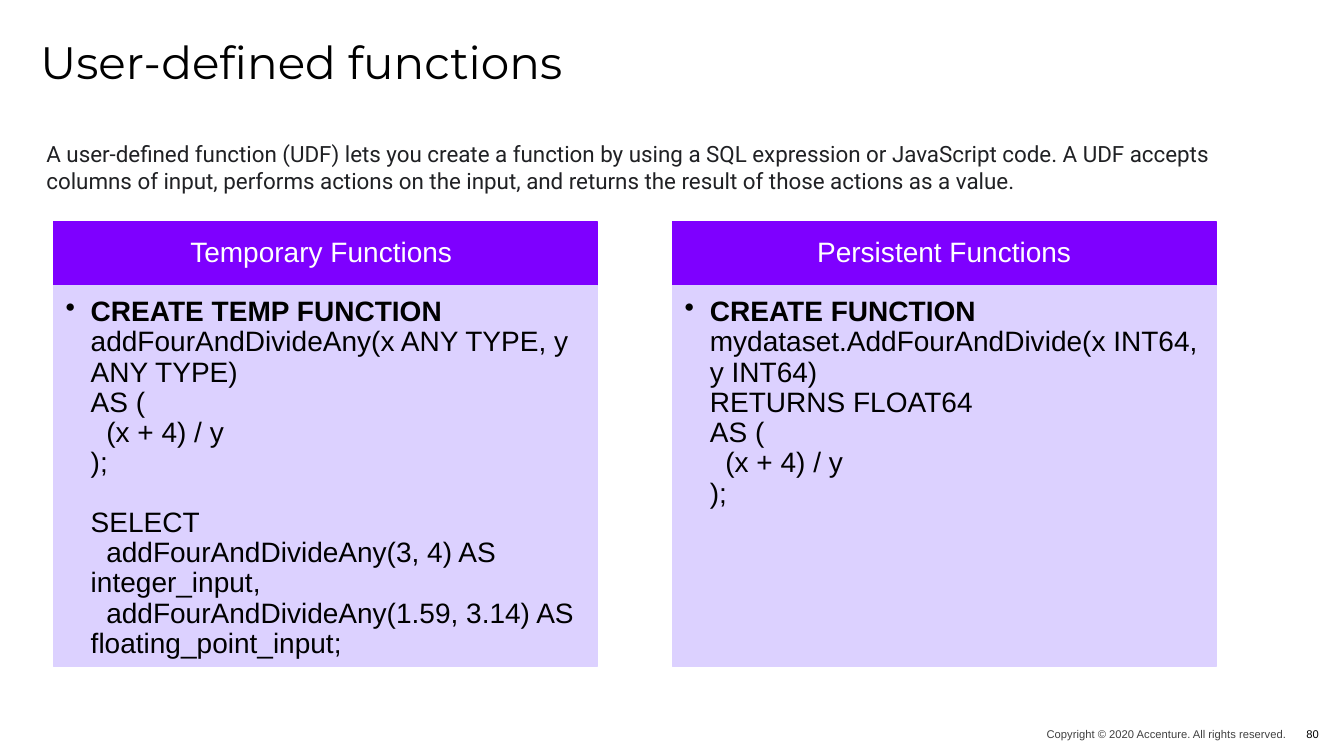
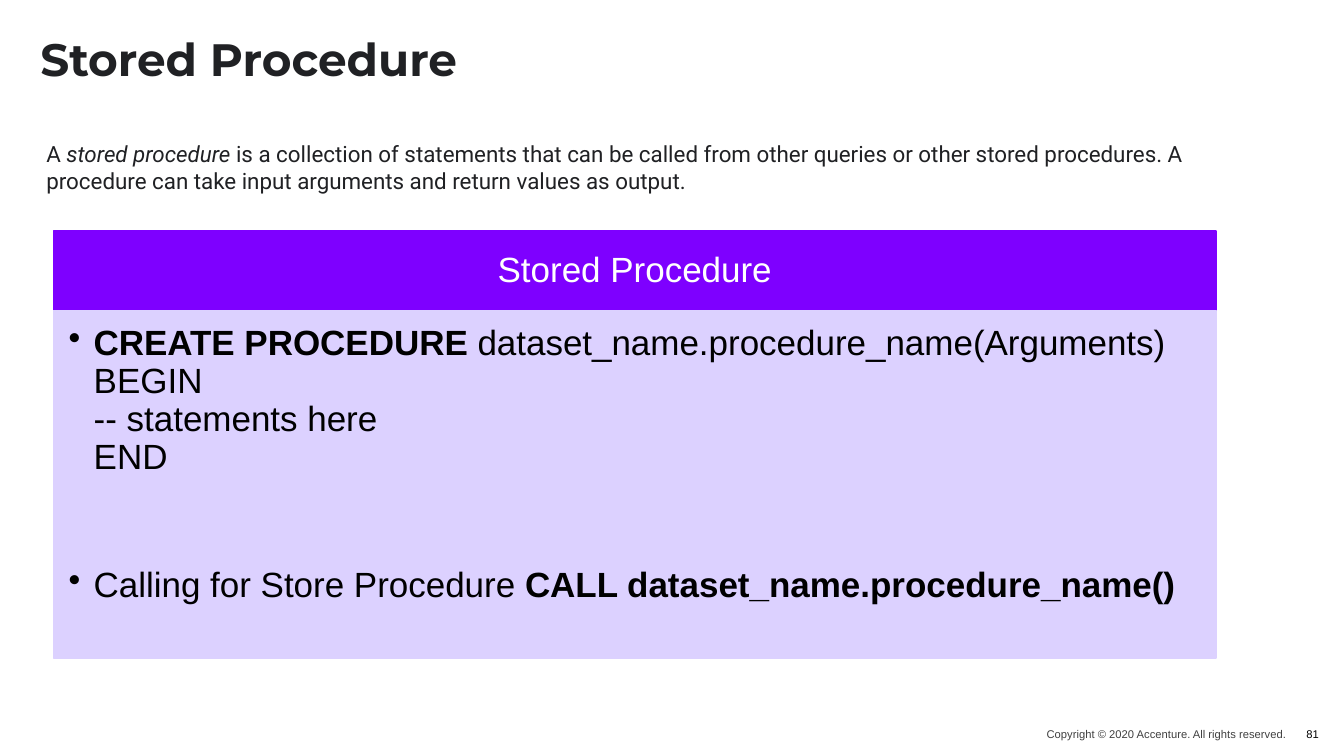
"""Build two slides on SQL user-defined functions and stored procedures."""
from lxml import etree
from pptx import Presentation
from pptx import util as u
from pptx.dml.color import RGBColor
from pptx.enum import shapes, text
from pptx.oxml.ns import qn

BLACK = RGBColor(0x00, 0x00, 0x00)
INK = RGBColor(0x20, 0x21, 0x24)
GREY = RGBColor(0x40, 0x40, 0x40)
WHITE = RGBColor(0xFF, 0xFF, 0xFF)
PURPLE = RGBColor(0x7E, 0x00, 0xFF)
LILAC = RGBColor(0xDC, 0xD1, 0xFF)

LEFT, WIDTH, GAP = 0.53, 11.53, 0.75
FOOT_TOP, FOOT_H = 7.17, 0.22
COPYRIGHT = "Copyright © 2020 Accenture. All rights reserved."

TEMP_HEAD = "addFourAndDivideAny(x ANY TYPE, y ANY TYPE)\nAS (\n  (x + 4) / y\n);"
TEMP_QUERY = ("SELECT\n  addFourAndDivideAny(3, 4) AS integer_input,\n"
              "  addFourAndDivideAny(1.59, 3.14) AS floating_point_input;")
PERSISTENT = ("mydataset.AddFourAndDivide(x INT64, y INT64)\n"
              "RETURNS FLOAT64\nAS (\n  (x + 4) / y\n);")
PROCEDURE = "dataset_name.procedure_name(Arguments)\nBEGIN\n-- statements here\nEND"


def place(sp, left, top, width, height):
    """Put a shape at a position given in inches."""
    sp.left, sp.top, sp.width, sp.height = map(u.Inches, (left, top, width, height))


def set_frame(tf, anchor, left=0, top=0, right=0, bottom=0):
    """Set wrapping, anchor and insets of a text frame."""
    tf.word_wrap = True
    tf.auto_size = text.MSO_AUTO_SIZE.NONE
    tf.vertical_anchor = anchor
    tf.margin_left, tf.margin_top = u.Inches(left), u.Inches(top)
    tf.margin_right, tf.margin_bottom = u.Inches(right), u.Inches(bottom)


def set_para(p, bullet=None, left=0.0, hang=0.0, align=text.PP_ALIGN.LEFT):
    """Set indents, alignment and the bullet of a paragraph."""
    p.alignment = align
    p.space_before = u.Pt(0)
    pPr = p._p.get_or_add_pPr()
    pPr.set("marL", str(u.Inches(left)))
    pPr.set("indent", str(u.Inches(-hang)))
    if bullet:
        etree.SubElement(pPr, qn("a:buChar")).set("char", bullet)
    else:
        etree.SubElement(pPr, qn("a:buNone"))


def add_run(p, words, size, color, font="Arial", bold=False, italic=False):
    """Add a formatted run, with a line break at each newline."""
    for i, line in enumerate(words.split("\n")):
        if i:
            p.add_line_break()
        r = p.add_run()
        r.text = line
        r.font.name, r.font.size = font, u.Pt(size)
        r.font.bold, r.font.italic = bold, italic
        r.font.color.rgb = color


def add_label(s, left, width, words, color, align):
    """Add a small line of footer text."""
    sp = s.shapes.add_textbox(0, 0, 0, 0)
    place(sp, left, FOOT_TOP, width, FOOT_H)
    set_frame(sp.text_frame, text.MSO_ANCHOR.MIDDLE)
    p = sp.text_frame.paragraphs[0]
    p.alignment = align
    add_run(p, words, 8, color)


def add_slide(prs, number, title, title_top, intro, color=BLACK, bold=False):
    """Add a slide with its title, introduction and footer."""
    s = prs.slides.add_slide(prs.slide_layouts[1])
    head, body = s.shapes.title, s.placeholders[1]
    place(head, 0.31, title_top, 12.5, 0.67)
    set_frame(head.text_frame, text.MSO_ANCHOR.MIDDLE)
    p = head.text_frame.paragraphs[0]
    set_para(p, left=0.09)
    add_run(p, title, 32.4, color, "Montserrat", bold)

    place(body, 0.3, 1.34, 12.51, 0.8)
    set_frame(body.text_frame, text.MSO_ANCHOR.TOP, 0.1, 0.05, 0.1, 0.05)
    p = body.text_frame.paragraphs[0]
    set_para(p, left=0.06)
    for words, italic in intro:
        add_run(p, words, 16, INK, "Roboto", italic=italic)

    add_label(s, 9.36, 3.4, COPYRIGHT, GREY, text.PP_ALIGN.RIGHT)
    add_label(s, 12.81, 0.42, str(number), BLACK, text.PP_ALIGN.CENTER)
    return s


def add_box(s, left, top, width, height, color):
    """Add a plain filled rectangle."""
    sp = s.shapes.add_shape(shapes.MSO_SHAPE.RECTANGLE, 0, 0, 0, 0)
    place(sp, left, top, width, height)
    sp.shadow.inherit = False
    sp.fill.solid()
    sp.fill.fore_color.rgb = color
    sp.line.color.rgb = color
    sp.line.width = u.Pt(1)
    return sp


def add_panel(s, left, top, width, heights, size, heading, items):
    """Add a heading band over a box of (bullet, space before, runs) items."""
    head_h, body_h = heights
    band = add_box(s, left, top, width, head_h, PURPLE)
    set_frame(band.text_frame, text.MSO_ANCHOR.MIDDLE)
    p = band.text_frame.paragraphs[0]
    set_para(p, align=text.PP_ALIGN.CENTER)
    p.line_spacing = 0.9
    add_run(p, heading, size, WHITE)

    box = add_box(s, left, top + head_h, width, body_h, LILAC)
    tf = box.text_frame
    inset = size * 0.006
    set_frame(tf, text.MSO_ANCHOR.TOP, inset, inset, size * 0.008, inset)
    for i, (bullet, before, runs) in enumerate(items):
        p = tf.add_paragraph() if i else tf.paragraphs[0]
        set_para(p, bullet, 0.25, 0.25 if bullet else 0)
        p.line_spacing = 0.9
        p.space_before = u.Pt(before)
        for words, bold in runs:
            add_run(p, words, size, BLACK, bold=bold)


def main():
    """Build and save the presentation."""
    prs = Presentation()
    prs.slide_width, prs.slide_height = u.Inches(13.33), u.Inches(7.5)

    s = add_slide(prs, 80, "User-defined functions", 0.27, [
        ("A user-defined function (UDF) lets you create a function by using a SQL "
         "expression or JavaScript code. A UDF accepts columns of input, performs "
         "actions on the input, and returns the result of those actions as a value.",
         False)])
    panels = [
        ("Temporary Functions ", [
            ("•", 0, [("CREATE TEMP FUNCTION ", True), (TEMP_HEAD, False)]),
            (None, 21, [(TEMP_QUERY, False)])]),
        ("Persistent Functions", [
            ("•", 0, [("CREATE FUNCTION ", True), (PERSISTENT, False)])]),
    ]
    col = (WIDTH - GAP) / len(panels)
    for i, (heading, items) in enumerate(panels):
        add_panel(s, LEFT + i * (col + GAP), 2.2, col, (0.63, 3.78), 20, heading, items)

    s = add_slide(prs, 81, "Stored Procedure", 0.24, [
        ("A ", False), ("stored procedure", True),
        (" is a collection of statements that can be called from other queries or "
         "other stored procedures. A procedure can take input arguments and return "
         "values as output.", False)], INK, True)
    add_panel(s, LEFT, 2.29, WIDTH, (0.79, 3.45), 25, "Stored Procedure", [
        ("•", 0, [("CREATE PROCEDURE ", True), (PROCEDURE, False)]),
        ("•", 65, [("Calling for Store Procedure ", False),
                   ("CALL dataset_name.procedure_name()", True)])])

    prs.save("out.pptx")


if __name__ == "__main__":
    main()
